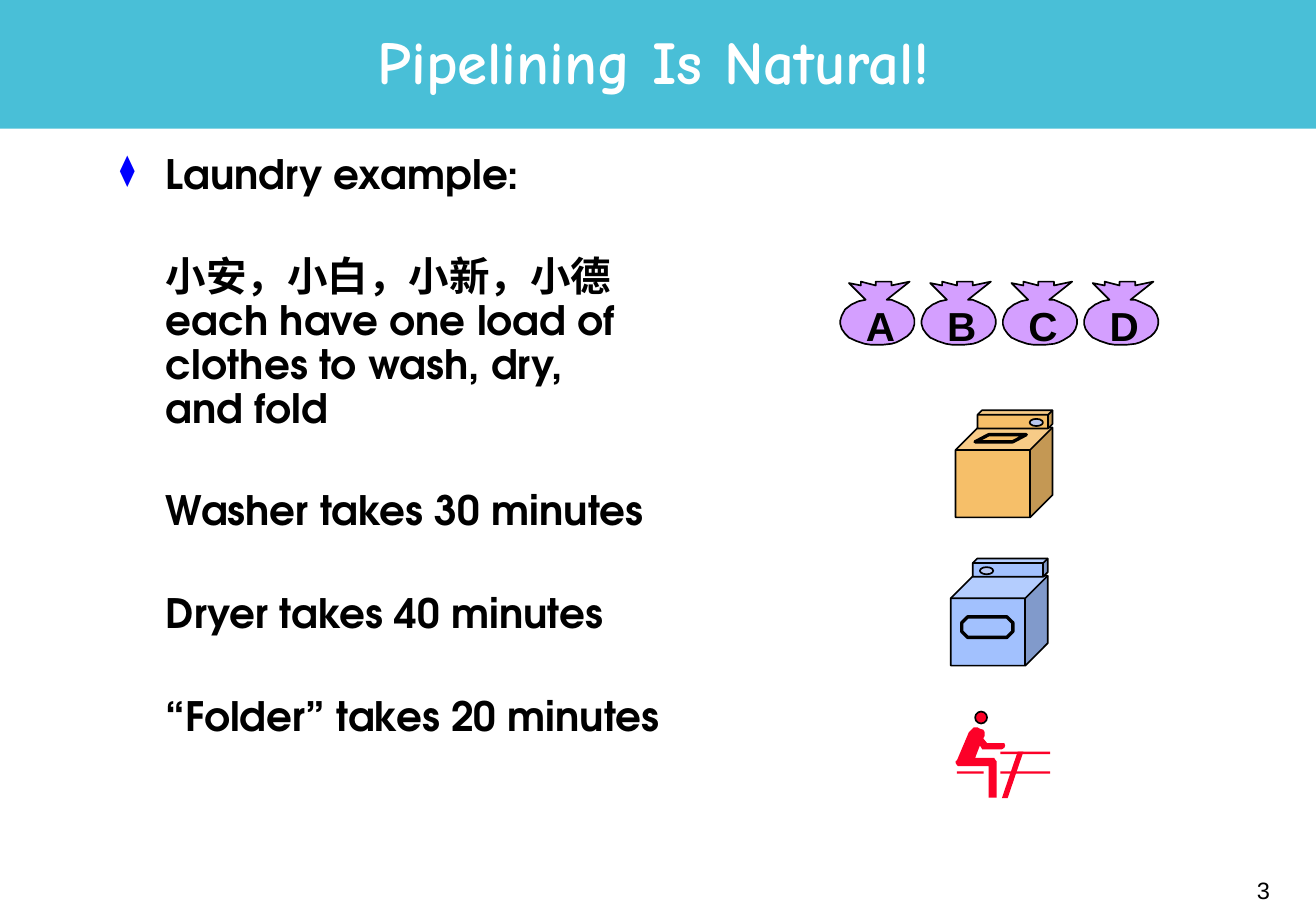
from dataclasses import dataclass

from lxml import etree
from pptx import Presentation
from pptx.dml.color import RGBColor
from pptx.enum.shapes import MSO_SHAPE
from pptx.enum.text import MSO_ANCHOR, PP_ALIGN
from pptx.oxml.ns import qn
from pptx.util import Cm, Pt

RECT, CUBE, ELLIPSE = MSO_SHAPE.RECTANGLE, MSO_SHAPE.CUBE, MSO_SHAPE.OVAL
OCTAGON, PARALLELOGRAM = MSO_SHAPE.OCTAGON, MSO_SHAPE.PARALLELOGRAM
LEFT, CENTER, RIGHT = PP_ALIGN.LEFT, PP_ALIGN.CENTER, PP_ALIGN.RIGHT
TOP, MIDDLE = MSO_ANCHOR.TOP, MSO_ANCHOR.MIDDLE

BAG_OUTLINE = [
    (18, 3), (43, 8), (43, 0), (74, 8), (74, 0), (107, 0), (107, 8), (145, 0),
    (97, 38), (107, 38), (119, 43), (130, 48), (140, 53), (147, 61), (152, 69),
    (155, 79), (155, 89), (152, 99), (147, 107), (140, 114), (127, 122),
    (117, 127), (107, 130), (89, 132), (64, 132), (51, 130), (33, 124),
    (18, 117), (10, 109), (3, 99), (0, 89), (0, 81), (3, 71), (10, 58),
    (23, 48), (38, 41), (53, 38),
]
PERSON_OUTLINE = [
    (28, 10), (3, 69), (0, 71), (0, 74), (3, 79), (5, 81), (10, 81), (69, 81),
    (69, 147), (86, 147), (86, 71), (84, 69), (81, 64), (76, 64), (41, 64),
    (51, 38), (56, 46), (97, 46), (102, 43), (104, 38), (102, 33), (97, 33),
    (66, 33), (58, 23), (61, 18), (61, 10), (58, 5), (51, 3), (46, 0), (38, 0),
    (33, 5),
]
TABLE_LEG_OUTLINE = [(33, 0), (45, 0), (12, 97), (0, 97)]
STEPS = [
    "Laundry example:",
    "小安，小白，小新，小德\veach have one load of\vclothes to wash, dry,\vand fold",
    "Washer takes 30 minutes",
    "Dryer takes 40 minutes",
    "“Folder” takes 20 minutes",
]


@dataclass(frozen=True)
class Theme:
    """Colours, fonts and type sizes of the slide."""

    band: str = "49BFD7"
    white: str = "FFFFFF"
    ink: str = "000000"
    bullet: str = "0000FF"
    washer: str = "F6BF69"
    dryer: str = "A2C1FE"
    knob: str = "BAC8F1"
    folder: str = "FC0128"
    bag: str = "D49FFF"
    title_font: str = "Comic Neue"
    body_font: str = "TeX Gyre Adventor"
    label_font: str = "Arial"
    title_size: int = 36
    body_size: int = 24
    number_size: int = 14


class LaundrySlide:
    """Draws the elements of the slide in one theme."""

    def __init__(self, slide, theme):
        self.slide = slide
        self.theme = theme

    def group(self):
        return self.slide.shapes.add_group_shape().shapes

    def paint(self, shape, fill, line_width):
        shape.shadow.inherit = False
        shape.fill.solid()
        shape.fill.fore_color.rgb = RGBColor.from_string(fill)
        if line_width:
            shape.line.color.rgb = RGBColor.from_string(self.theme.ink)
            shape.line.width = Pt(line_width)
        else:
            shape.line.fill.background()
        return shape

    def shape(self, parent, kind, box, fill, line_width=0, adjustment=None):
        shape = parent.add_shape(kind, *map(Cm, box))
        if adjustment is not None:
            shape.adjustments[0] = adjustment
        return self.paint(shape, fill, line_width)

    def outline(self, parent, points, left, top, fill, line_width=0):
        builder = parent.build_freeform(*points[0], scale=Cm(0.01))
        builder.add_line_segments(points[1:], close=True)
        return self.paint(builder.convert_to_shape(Cm(left), Cm(top)), fill, line_width)

    def style(self, paragraph, font, size, color, bold=True, align=LEFT):
        paragraph.alignment = align
        for run in paragraph.runs:
            run.font.name = font
            run.font.size = Pt(size)
            run.font.bold = bold
            run.font.color.rgb = RGBColor.from_string(color)

    def label(self, parent, text, box, size, bold=True, align=CENTER, anchor=TOP):
        frame = parent.add_textbox(*map(Cm, box)).text_frame
        frame.word_wrap = False
        frame.vertical_anchor = anchor
        frame.text = text
        self.style(frame.paragraphs[0], self.theme.label_font, size,
                   self.theme.ink, bold, align)

    def title(self, text, band_height):
        theme = self.theme
        band = self.shape(self.slide.shapes, RECT, (0, 0, 27.53, band_height), theme.band)
        heading = self.slide.shapes.title
        band.element.addnext(heading.element)
        heading.left, heading.top, heading.width, heading.height = map(
            Cm, (1.98, 0.13, 23.39, 2.51))
        frame = heading.text_frame
        frame.text = text
        frame.word_wrap = True
        frame.vertical_anchor = MIDDLE
        frame.paragraphs[0].line_spacing = 0.85
        self.style(frame.paragraphs[0], theme.title_font, theme.title_size,
                   theme.white, align=CENTER)

    def bullet(self, paragraph):
        properties = paragraph._p.get_or_add_pPr()
        properties.set("indent", str(-Cm(0.96)))
        color = etree.SubElement(properties, qn("a:buClr"))
        etree.SubElement(color, qn("a:srgbClr"), val=self.theme.bullet)
        etree.SubElement(properties, qn("a:buSzPct"), val="75000")
        etree.SubElement(properties, qn("a:buChar"), char="⧫")

    def steps(self, texts, box):
        frame = self.slide.shapes.add_textbox(*map(Cm, box)).text_frame
        frame.word_wrap = True
        for index, text in enumerate(texts):
            paragraph = frame.add_paragraph() if index else frame.paragraphs[0]
            paragraph.text = text
            paragraph.line_spacing = 0.9
            paragraph._p.get_or_add_pPr().set("marL", str(Cm(0.96)))
            if index:
                paragraph.space_before = Pt(35)
            else:
                self.bullet(paragraph)
            self.style(paragraph, self.theme.body_font, self.theme.body_size, self.theme.ink)

    def machine(self, left, top, fill, knob_left, door, door_box, door_adjustment):
        parent = self.group()
        parts = [
            (CUBE, (0, 0, 2.03, 1.88), fill, 1, 0.25),
            (CUBE, (0.46, -0.36, 1.57, 0.38), fill, 1, 0.25),
            (ELLIPSE, (knob_left, -0.18, 0.28, 0.15), self.theme.knob, 1, None),
            (door, door_box, fill, 2, door_adjustment),
        ]
        for kind, (x, y, width, height), color, line_width, adjustment in parts:
            self.shape(parent, kind, (left + x, top + y, width, height),
                       color, line_width, adjustment)

    def folder(self):
        parent, red = self.group(), self.theme.folder
        self.outline(parent, TABLE_LEG_OUTLINE, 20.96, 15.72, red)
        for left, top, width in [(20.93, 15.72, 1.04), (20.93, 16.13, 1.04),
                                 (20.02, 16.13, 0.56)]:
            self.shape(parent, RECT, (left, top, width, 0.05), red)
        self.shape(parent, ELLIPSE, (20.4, 14.88, 0.25, 0.25), red, 1)
        self.outline(parent, PERSON_OUTLINE, 19.99, 15.21, red)

    def bags(self, owners, left, top, pitch):
        parent = self.group()
        for index, owner in enumerate(owners):
            x = left + index * pitch
            self.outline(parent, BAG_OUTLINE, x, top, self.theme.bag, 1)
            self.label(parent, owner, (x + 0.28, top + 0.28, 1.12, 1.27),
                       self.theme.body_size)


def main():
    presentation = Presentation()
    presentation.slide_width, presentation.slide_height = Cm(27.53), Cm(19.05)
    theme = Theme()
    page = LaundrySlide(presentation.slides.add_slide(presentation.slide_layouts[5]), theme)
    page.title("Pipelining Is Natural!", 2.69)
    page.steps(STEPS, (2.26, 3.1, 23.39, 14.12))
    page.machine(19.89, 12.04, theme.dryer, 0.61, OCTAGON, (0.23, 0.86, 1.07, 0.43), 0.29)
    page.folder()
    page.machine(19.99, 8.94, theme.washer, 1.55, PARALLELOGRAM,
                 (0.41, 0.15, 1.07, 0.15), 1.9)
    page.bags("ABCD", 17.58, 5.89, 1.7)
    page.label(page.slide.shapes, "3", (21.08, 17.98, 5.74, 1.27),
               theme.number_size, bold=False, align=RIGHT, anchor=MIDDLE)
    presentation.save("out.pptx")


if __name__ == "__main__":
    main()
